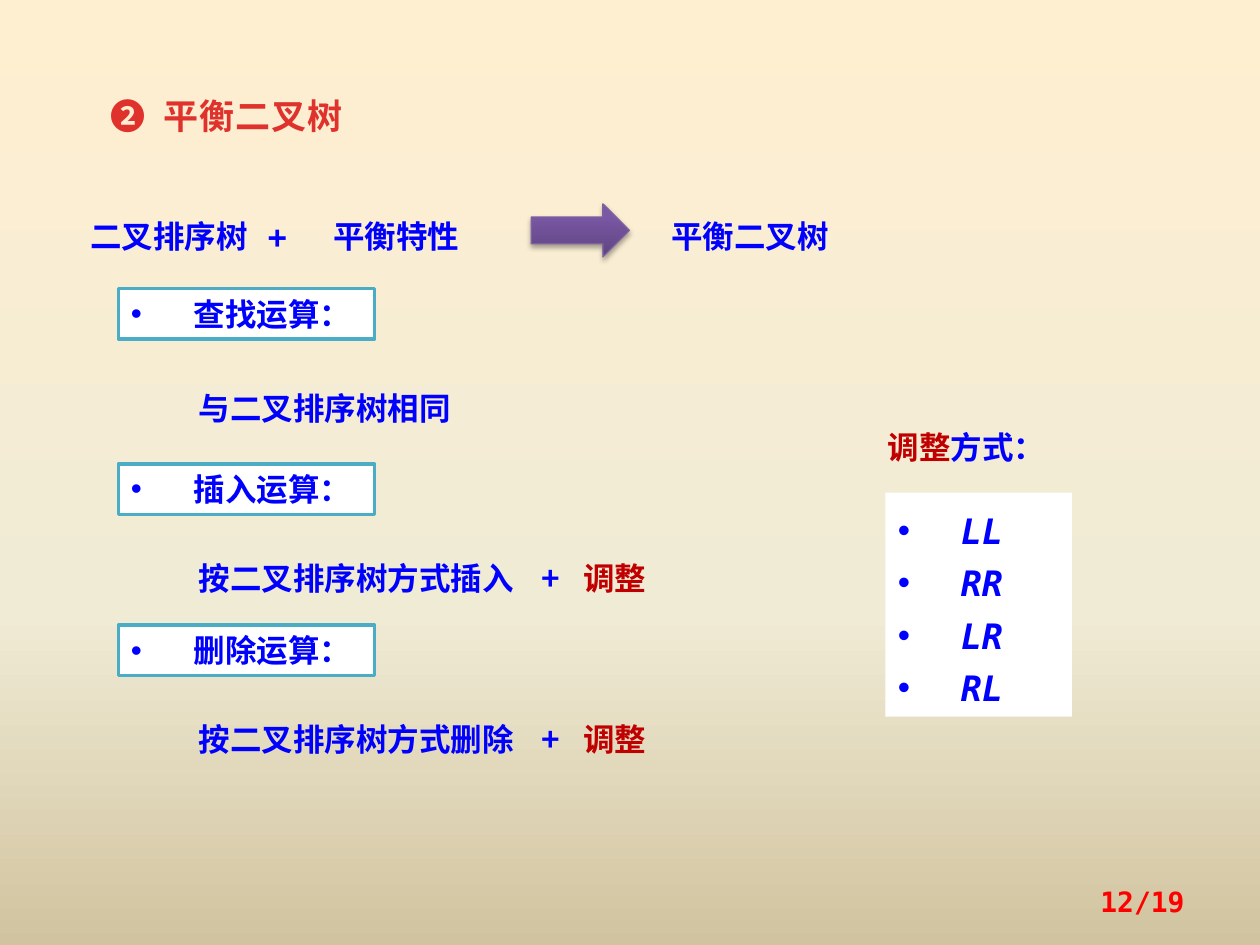
from dataclasses import dataclass

from lxml import etree
from pptx import Presentation
from pptx import util as u
from pptx.dml.color import RGBColor
from pptx.enum import shapes, text
from pptx.oxml.ns import qn


@dataclass(frozen=True)
class Theme:
    """Colours, fonts and type sizes of the deck."""
    blue: str = "0000FF"
    red: str = "C00000"
    title: str = "E0322D"
    number: str = "FF0000"
    white: str = "FFFFFF"
    frame: str = "4BACC6"
    arrow_line: str = "7D60A0"
    arrow: tuple = ((0, "5F4480"), (80, "7B58A6"), (100, "7C57A8"))
    background: tuple = ((0, "FFEFD1"), (65, "F0EBD5"), (100, "D1C39F"))
    mono: str = "DejaVu Sans Mono"
    han: str = "Noto Sans CJK SC"
    large: int = 20
    body: int = 18
    small: int = 16
    leading: int = 30


@dataclass(frozen=True)
class Box:
    """A rectangle in centimetres."""
    left: float
    top: float
    width: float
    height: float

    def inner(self, left, top, width, height):
        """Return a rectangle placed relative to this one."""
        return Box(self.left + left, self.top + top, width, height)

    def lengths(self):
        """Return left, top, width and height as Cm lengths."""
        return [u.Cm(n) for n in (self.left, self.top, self.width, self.height)]


THEME = Theme()


def add_child(parent, tag, **attributes):
    """Append an XML child with the given attributes."""
    child = etree.SubElement(parent, qn(tag))
    for name, value in attributes.items():
        child.set(name, str(value))
    return child


def set_gradient(fill, owner, stops, angle):
    """Give a fill a linear gradient with any number of stops."""
    fill.gradient()
    fill.gradient_angle = angle
    stop_list = owner.find(".//" + qn("a:gsLst"))
    for stop in list(stop_list):
        stop_list.remove(stop)
    for position, colour in stops:
        stop = add_child(stop_list, "a:gs", pos=position * 1000)
        add_child(stop, "a:srgbClr", val=colour)


def write(para, spans, size=THEME.body, font=THEME.mono, leading=THEME.leading,
          italic=False, bullet=False, tabs=()):
    """Fill a paragraph with (wording, colour) spans."""
    for wording, colour in spans:
        span = para.add_run()
        span.text = wording
        span.font.size = u.Pt(size)
        span.font.bold = True
        span.font.italic = italic
        span.font.color.rgb = RGBColor.from_string(colour)
        span.font.name = font
        add_child(span.font._element, "a:ea", typeface=THEME.han)
    para.alignment = text.PP_ALIGN.LEFT
    if leading:
        para.line_spacing = u.Pt(leading)
    properties = para._p.get_or_add_pPr()
    if bullet:
        properties.set("marL", str(u.Cm(1.27)))
        properties.set("indent", str(-u.Cm(1.27)))
        add_child(properties, "a:buFont", typeface="Arial")
        add_child(properties, "a:buChar", char="•")
    if tabs:
        stops = add_child(properties, "a:tabLst")
        for position in tabs:
            add_child(stops, "a:tab", pos=u.Cm(position), algn="l")


def add_label(parent, box, spans, **style):
    """Add a one-paragraph text box."""
    label = parent.add_textbox(*box.lengths())
    label.text_frame.word_wrap = True
    label.text_frame.auto_size = text.MSO_AUTO_SIZE.SHAPE_TO_FIT_TEXT
    write(label.text_frame.paragraphs[0], spans, **style)
    return label


def add_panel(parent, box, line=None):
    """Add a white rectangle, framed when a line colour is given."""
    panel = parent.add_shape(shapes.MSO_SHAPE.RECTANGLE, *box.lengths())
    panel.shadow.inherit = False
    panel.fill.solid()
    panel.fill.fore_color.rgb = RGBColor.from_string(THEME.white)
    if line:
        panel.line.color.rgb = RGBColor.from_string(line)
        panel.line.width = u.Pt(2)
    else:
        panel.line.fill.background()
    panel.text_frame.word_wrap = True
    panel.text_frame.vertical_anchor = text.MSO_ANCHOR.TOP
    return panel


def add_formula(page, box):
    """Add the row that derives the balanced tree."""
    group = page.shapes.add_group_shape().shapes
    add_label(group, box.inner(0, 0, 9.93, 1.32),
              [("二叉排序树\t+\t平衡特性", THEME.blue)], tabs=(3.58, 4.9))
    arrow = group.add_shape(shapes.MSO_SHAPE.RIGHT_ARROW,
                            *box.inner(9.14, 0.15, 1.98, 1.07).lengths())
    set_gradient(arrow.fill, arrow._element.spPr, THEME.arrow, 90)
    arrow.line.color.rgb = RGBColor.from_string(THEME.arrow_line)
    arrow.line.width = u.Pt(0.75)
    effects = add_child(arrow._element.spPr, "a:effectLst")
    shadow = add_child(effects, "a:outerShdw", blurRad=u.Pt(3.1), dist=u.Pt(1.8),
                       dir=5400000, rotWithShape=0)
    colour = add_child(shadow, "a:srgbClr", val="000000")
    add_child(colour, "a:alpha", val=35000)
    add_label(group, box.inner(11.71, 0, 5.77, 1.32), [("平衡二叉树", THEME.blue)])


def add_operation(page, box, name, spans):
    """Add a framed operation name with its explanation below."""
    group = page.shapes.add_group_shape().shapes
    panel = add_panel(group, box.inner(0, 0, 5.16, 1.02), THEME.frame)
    write(panel.text_frame.paragraphs[0], [(name, THEME.blue)], leading=None, bullet=True)
    add_label(group, box.inner(1.37, box.height - 1.32, box.width - 1.37, 1.32), spans,
              font=THEME.han, tabs=(6.9, 7.75))


def add_adjustments(page, box, names):
    """Add the list of adjustment types under its heading."""
    add_label(page.shapes, box.inner(0, 0, 3.96, 1.22),
              [("调整", THEME.red), ("方式：", THEME.blue)])
    panel = add_panel(page.shapes, box.inner(0.2, 1.73, 3.76, 4.52))
    frame = panel.text_frame
    for index, name in enumerate(names):
        para = frame.add_paragraph() if index else frame.paragraphs[0]
        write(para, [(name, THEME.blue)], size=THEME.large, italic=True, bullet=True)


def add_title(page, box):
    """Add the section title."""
    label = add_label(page.shapes, box, [("❷\t平衡二叉树", THEME.title)],
                      size=THEME.large, tabs=(1.07,))
    for span in label.text_frame.paragraphs[0].runs:
        span.font._element.set("spc", "50")


def add_page_number(page, box):
    """Add the page number at the right."""
    label = add_label(page.shapes, box, [("12/19", THEME.number)],
                      size=THEME.small, leading=None)
    label.text_frame.auto_size = text.MSO_AUTO_SIZE.NONE
    label.text_frame.vertical_anchor = text.MSO_ANCHOR.MIDDLE
    label.text_frame.paragraphs[0].alignment = text.PP_ALIGN.RIGHT


def main():
    """Build and save the deck."""
    deck = Presentation()
    deck.slide_width, deck.slide_height = u.Cm(25.4), u.Cm(19.05)
    page = deck.slides.add_slide(deck.slide_layouts[6])
    set_gradient(page.background.fill, page._element, THEME.background, 270)
    add_title(page, Box(1.98, 1.57, 7.75, 1.24))
    add_formula(page, Box(1.57, 3.96, 17.5, 1.32))
    adjust = ("调整", THEME.red)
    operations = (
        (5.82, 2.92, "查找运算：", [("与二叉排序树相同", THEME.blue)]),
        (9.35, 2.82, "插入运算：", [("按二叉排序树方式插入\t+\t", THEME.blue), adjust]),
        (12.6, 2.82, "删除运算：", [("按二叉排序树方式删除\t+\t", THEME.blue), adjust]),
    )
    for top, height, name, spans in operations:
        add_operation(page, Box(2.39, top, 12.5, height), name, spans)
    add_adjustments(page, Box(17.65, 8.2, 3.96, 6.25), ("LL", "RR", "LR", "RL"))
    add_page_number(page, Box(18.21, 17.65, 5.92, 1.02))
    deck.save("out.pptx")


if __name__ == "__main__":
    main()
